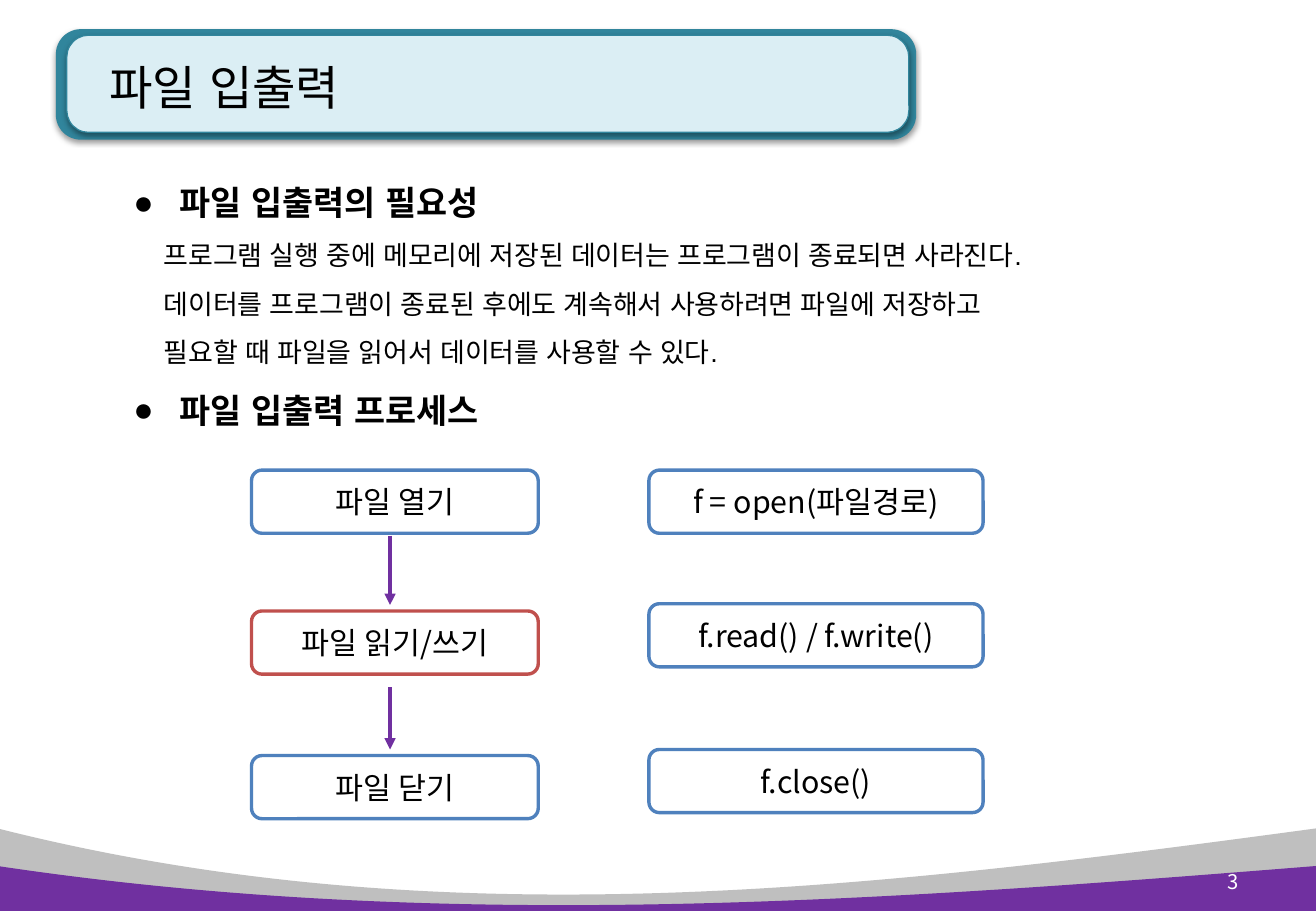
from dataclasses import dataclass

import pptx
import pptx.dml.color
import pptx.enum.shapes
import pptx.enum.text
import pptx.oxml
import pptx.oxml.ns
import pptx.util
from lxml import etree
from pptx.shapes.autoshape import Shape
from pptx.shapes.shapetree import SlideShapes
from pptx.text.text import TextFrame, _Paragraph

EMU_PER_PX = 9144  # 100 px to the inch
ALIGN = pptx.enum.text.PP_ALIGN
ROUNDED = pptx.enum.shapes.MSO_SHAPE.ROUNDED_RECTANGLE
qn = pptx.oxml.ns.qn


@dataclass(frozen=True)
class Theme:
    font: str = "Noto Sans CJK KR"
    body_font: str = "Arial"
    black: str = "000000"
    white: str = "FFFFFF"
    gray: str = "BFBFBF"
    purple: str = "7030A0"
    teal: str = "31859C"
    pale_teal: str = "DBEEF4"
    blue: str = "4F81BD"
    red: str = "C0504D"
    title_size: int = 28
    heading_size: int = 20
    step_size: int = 18
    body_size: int = 16
    number_size: int = 12
    heading_leading: float = 37
    body_leading: float = 28.7


THEME = Theme()


@dataclass(frozen=True)
class Box:
    left: int
    top: int
    width: int
    height: int


@dataclass(frozen=True)
class Wave:
    """A band under a cubic curve with the given heights at its four control points."""
    heights: tuple[int, int, int, int]
    bottom: int
    color: str


@dataclass(frozen=True)
class Step:
    text: str
    box: Box
    outline: str = THEME.blue


@dataclass(frozen=True)
class BodyLine:
    text: str
    heading: bool = False


WAVE_X = (-2, 365, 720, 1083)
GRAY_WAVE = Wave((682, 775, 731, 682), 750, THEME.gray)
PURPLE_WAVE = Wave((713, 768, 742, 713), 753, THEME.purple)

STEPS = [
    Step("파일 열기", Box(207, 387, 236, 52)),
    Step("파일 읽기/쓰기", Box(207, 503, 236, 52), THEME.red),
    Step("파일 닫기", Box(207, 622, 236, 52)),
    Step("f = open(파일경로)", Box(534, 387, 275, 52)),
    Step("f.read() / f.write()", Box(534, 497, 275, 52)),
    Step("f.close()", Box(534, 617, 275, 52)),
]
ARROW_X = 321
ARROW_SPANS = [(441, 498), (566, 617)]

BODY = [
    BodyLine("파일 입출력의 필요성", heading=True),
    BodyLine("프로그램 실행 중에 메모리에 저장된 데이터는 프로그램이 종료되면 사라진다."),
    BodyLine("데이터를 프로그램이 종료된 후에도 계속해서 사용하려면 파일에 저장하고"),
    BodyLine("필요할 때 파일을 읽어서 데이터를 사용할 수 있다."),
    BodyLine("파일 입출력 프로세스", heading=True),
]


def px(length: int) -> pptx.util.Emu:
    return pptx.util.Emu(length * EMU_PER_PX)


def rgb(color: str) -> pptx.dml.color.RGBColor:
    return pptx.dml.color.RGBColor.from_string(color)


def place(box: Box) -> tuple[pptx.util.Emu, ...]:
    return px(box.left), px(box.top), px(box.width), px(box.height)


def add_run(paragraph: _Paragraph, text: str, size: int, color: str = THEME.black,
            font: str = THEME.font, bold: bool = False) -> None:
    run = paragraph.add_run()
    run.text = text
    run.font.size = pptx.util.Pt(size)
    run.font.bold = bold
    run.font.name = font
    run.font.color.rgb = rgb(color)
    etree.SubElement(run.font._element, qn("a:ea"), typeface=font)


def add_wave(shapes: SlideShapes, wave: Wave) -> None:
    left, right = WAVE_X[0], WAVE_X[-1]
    builder = shapes.build_freeform(left, wave.heights[0], scale=EMU_PER_PX)
    builder.add_line_segments(
        [(right, wave.heights[-1]), (right, wave.bottom), (left, wave.bottom)], close=True)
    band = builder.convert_to_shape()
    top_edge = band._element.spPr.find(".//" + qn("a:lnTo"))
    curve = etree.Element(qn("a:cubicBezTo"))
    for x, y in zip(WAVE_X[1:], wave.heights[1:]):
        etree.SubElement(curve, qn("a:pt"), x=str(x - left), y=str(y - wave.heights[0]))
    top_edge.getparent().replace(top_edge, curve)
    band.shadow.inherit = False
    band.fill.solid()
    band.fill.fore_color.rgb = rgb(wave.color)
    band.line.fill.background()


def add_rounded(shapes: SlideShapes, box: Box, fill: str, outline: str | None,
                line_width: float = 0) -> Shape:
    rounded = shapes.add_shape(ROUNDED, *place(box))
    rounded.shadow.inherit = False
    rounded.fill.solid()
    rounded.fill.fore_color.rgb = rgb(fill)
    if outline is None:
        rounded.line.fill.background()
    else:
        rounded.line.color.rgb = rgb(outline)
        rounded.line.width = pptx.util.Pt(line_width)
    return rounded


def add_banner_layer(shapes: SlideShapes, box: Box, fill: str,
                     outline: str | None = None) -> None:
    layer = add_rounded(shapes, box, fill, outline, 0.75)
    layer.adjustments[0] = 0.225
    effects = layer._element.spPr.find(qn("a:effectLst"))
    shadow = etree.SubElement(effects, qn("a:outerShdw"), blurRad="39370", dist="20320",
                              dir="5400000", rotWithShape="0")
    shade = etree.SubElement(shadow, qn("a:srgbClr"), val=THEME.black)
    etree.SubElement(shade, qn("a:alpha"), val="38000")


def add_text_frame(shapes: SlideShapes, box: Box) -> TextFrame:
    frame = shapes.add_textbox(*place(box)).text_frame
    frame.word_wrap = True
    return frame


def add_step(shapes: SlideShapes, step: Step) -> None:
    frame = add_rounded(shapes, step.box, THEME.white, step.outline, 2).text_frame
    frame.vertical_anchor = pptx.enum.text.MSO_ANCHOR.MIDDLE
    frame.paragraphs[0].alignment = ALIGN.CENTER
    add_run(frame.paragraphs[0], step.text, THEME.step_size)


def add_arrow(shapes: SlideShapes, top: int, bottom: int) -> None:
    arrow = shapes.add_connector(pptx.enum.shapes.MSO_CONNECTOR.STRAIGHT,
                                 px(ARROW_X), px(top), px(ARROW_X), px(bottom))
    arrow.line.color.rgb = rgb(THEME.purple)
    arrow.line.width = pptx.util.Pt(2.25)
    etree.SubElement(arrow.line._get_or_add_ln(), qn("a:tailEnd"), type="triangle")
    etree.SubElement(arrow._element.spPr, qn("a:effectLst"))


def add_body(shapes: SlideShapes, lines: list[BodyLine]) -> None:
    frame = add_text_frame(shapes, Box(100, 127, 906, 232))
    for index, line in enumerate(lines):
        paragraph = frame.add_paragraph() if index else frame.paragraphs[0]
        leading = THEME.heading_leading if line.heading else THEME.body_leading
        paragraph.line_spacing = pptx.util.Pt(leading)
        properties = paragraph._p.get_or_add_pPr()
        properties.set("marL", str(px(38 if line.heading else 25)))
        properties.set("indent", str(px(-38 if line.heading else 0)))
        if line.heading:
            etree.SubElement(properties, qn("a:buFont"), typeface=THEME.body_font)
            etree.SubElement(properties, qn("a:buChar"), char="●")
        size = THEME.heading_size if line.heading else THEME.body_size
        add_run(paragraph, line.text, size, font=THEME.body_font, bold=line.heading)


def main() -> None:
    deck = pptx.Presentation()
    deck.slide_width, deck.slide_height = px(1083), px(750)
    shapes = deck.slides.add_slide(deck.slide_layouts[6]).shapes

    add_wave(shapes, GRAY_WAVE)
    add_banner_layer(shapes, Box(46, 24, 708, 91), THEME.teal)
    add_banner_layer(shapes, Box(55, 29, 693, 80), THEME.pale_teal, THEME.teal)
    add_wave(shapes, PURPLE_WAVE)

    title = add_text_frame(shapes, Box(69, 24, 678, 94))
    title.margin_left = px(21)
    title.vertical_anchor = pptx.enum.text.MSO_ANCHOR.MIDDLE
    add_run(title.paragraphs[0], "파일 입출력", THEME.title_size, font=THEME.body_font)

    page_number = add_text_frame(shapes, Box(968, 706, 61, 40))
    page_number.vertical_anchor = pptx.enum.text.MSO_ANCHOR.MIDDLE
    page_number.paragraphs[0].alignment = ALIGN.RIGHT
    add_run(page_number.paragraphs[0], "3", THEME.number_size, THEME.white)

    for step in STEPS:
        add_step(shapes, step)
    for top, bottom in ARROW_SPANS:
        add_arrow(shapes, top, bottom)
    add_body(shapes, BODY)
    deck.save("out.pptx")


if __name__ == "__main__":
    main()
